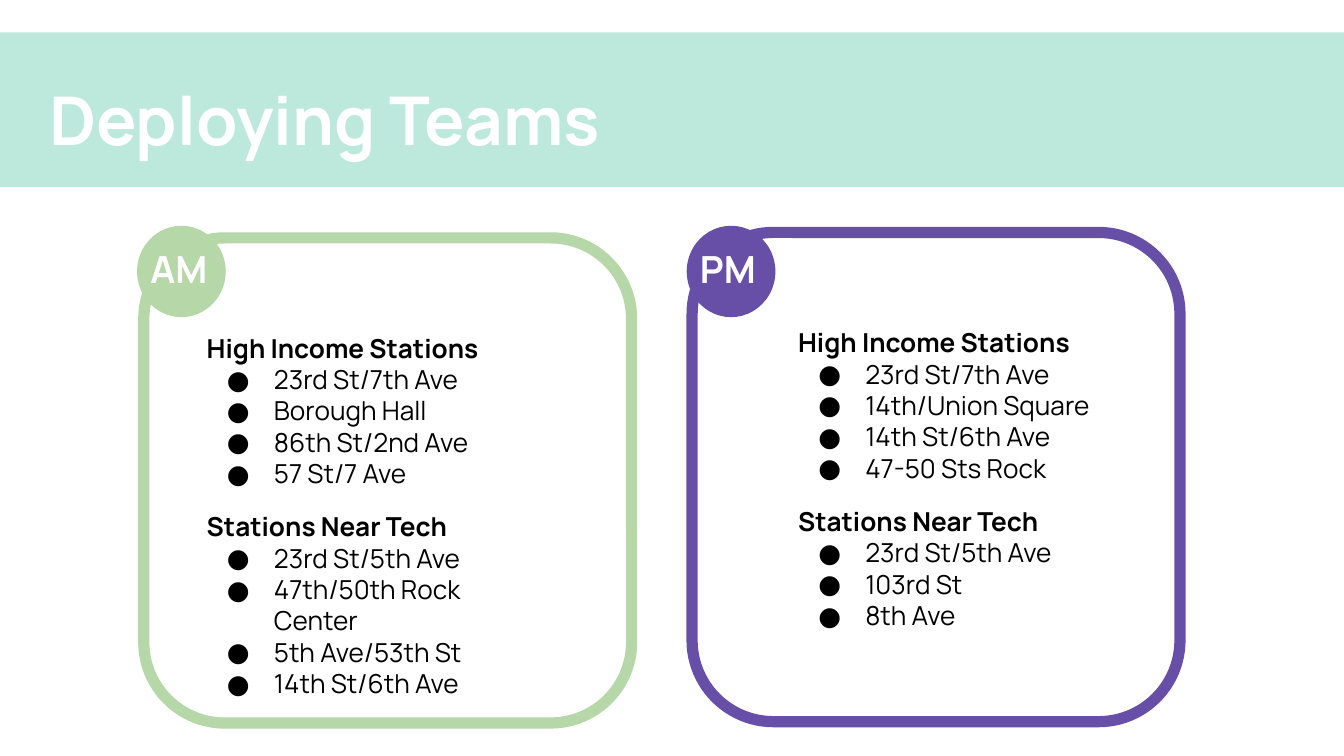
from dataclasses import dataclass

from lxml import etree
from pptx import Presentation
from pptx.dml.color import RGBColor
from pptx.enum.shapes import MSO_SHAPE as Preset
from pptx.oxml.ns import qn
from pptx.util import Inches, Pt


@dataclass(frozen=True)
class Theme:
    font: str = "Manrope"
    mint: str = "BDE8DC"
    green: str = "B6D7A8"
    purple: str = "674EA7"
    white: str = "FFFFFF"
    black: str = "000000"
    title: int = 36
    badge: int = 20
    body: int = 14
    border: int = 6


THEME = Theme()

PANELS = [
    {
        "box": (1.02, 1.68, 3.68, 3.7), "label": "AM", "color": THEME.green,
        "frame_inset": (0.05, 0.09), "list_left": 0.42,
        "groups": [
            ("High Income Stations",
             ["23rd St/7th Ave", "Borough Hall", "86th St/2nd Ave", "57 St/7 Ave"]),
            ("Stations Near Tech",
             ["23rd St/5th Ave", "47th/50th Rock Center", "5th Ave/53th St",
              "14th St/6th Ave"]),
        ],
    },
    {
        "box": (5.11, 1.68, 3.67, 3.69), "label": "PM", "color": THEME.purple,
        "frame_inset": (0.04, 0.05), "list_left": 0.73,
        "groups": [
            ("High Income Stations",
             ["23rd St/7th Ave", "14th/Union Square", "14th St/6th Ave",
              "47-50 Sts Rock"]),
            ("Stations Near Tech", ["23rd St/5th Ave", "103rd St", "8th Ave"]),
        ],
    },
]


def add_shape(slide, preset, box, fill=None, line=None):
    shape = slide.shapes.add_shape(preset, *map(Inches, box))
    shape.shadow.inherit = False
    if fill:
        shape.fill.solid()
        shape.fill.fore_color.rgb = RGBColor.from_string(fill)
    else:
        shape.fill.background()
    if line:
        shape.line.color.rgb = RGBColor.from_string(line)
        shape.line.width = Pt(THEME.border)
    else:
        shape.line.fill.background()


def add_bullet(paragraph):
    properties = paragraph._p.get_or_add_pPr()
    properties.set("marL", str(Inches(0.5)))
    properties.set("indent", str(Inches(-0.35)))
    color = etree.SubElement(properties, qn("a:buClr"))
    etree.SubElement(color, qn("a:srgbClr"), val=THEME.black)
    etree.SubElement(properties, qn("a:buFont"), typeface=THEME.font)
    etree.SubElement(properties, qn("a:buChar"), char="●")


def add_text(slide, box, heading, size, color, bullets=()):
    """Add a bold heading, followed by plain bulleted lines if given."""
    frame = slide.shapes.add_textbox(*map(Inches, box)).text_frame
    frame.word_wrap = True
    for side in ("left", "top", "right", "bottom"):
        setattr(frame, f"margin_{side}", Inches(0.1))
    for index, text in enumerate([heading, *bullets]):
        paragraph = frame.add_paragraph() if index else frame.paragraphs[0]
        if index:
            add_bullet(paragraph)
        run = paragraph.add_run()
        run.text = text
        styles = {"name": THEME.font, "size": Pt(size), "bold": index == 0}
        for name, value in styles.items():
            setattr(run.font, name, value)
        run.font.color.rgb = RGBColor.from_string(color)


def add_header(slide, box, title):
    left, top, _, _ = box
    add_shape(slide, Preset.RECTANGLE, box, fill=THEME.mint)
    add_text(slide, (left + 0.27, top + 0.24, 6.84, 0.52), title,
             THEME.title, THEME.white)


def add_panel(slide, box, label, color, frame_inset, list_left, groups):
    """Draw a rounded frame with a badge on its corner and station lists inside."""
    left, top, width, height = box
    inset_x, inset_y = frame_inset
    frame_box = (left + inset_x, top + inset_y, width - inset_x, height - inset_y)
    add_shape(slide, Preset.ROUNDED_RECTANGLE, frame_box, line=color)

    list_top, list_step = top + inset_y + 0.6, 1.33
    for index, (heading, stations) in enumerate(groups):
        list_box = (left + list_left, list_top + index * list_step, 2.46, 1.36)
        add_text(slide, list_box, heading, THEME.body, THEME.black, stations)

    add_shape(slide, Preset.OVAL, (left, top, 0.66, 0.68), fill=color)
    add_text(slide, (left, top + 0.05, 0.73, 0.58), label, THEME.badge, THEME.white)


def main():
    presentation = Presentation()
    presentation.slide_width = Inches(10)
    presentation.slide_height = presentation.slide_width * 9 // 16
    slide = presentation.slides.add_slide(presentation.slide_layouts[6])
    for panel in PANELS:
        add_panel(slide, **panel)
    add_header(slide, (0, 0.24, 10, 1.15), "Deploying Teams")
    presentation.save("out.pptx")


if __name__ == "__main__":
    main()
